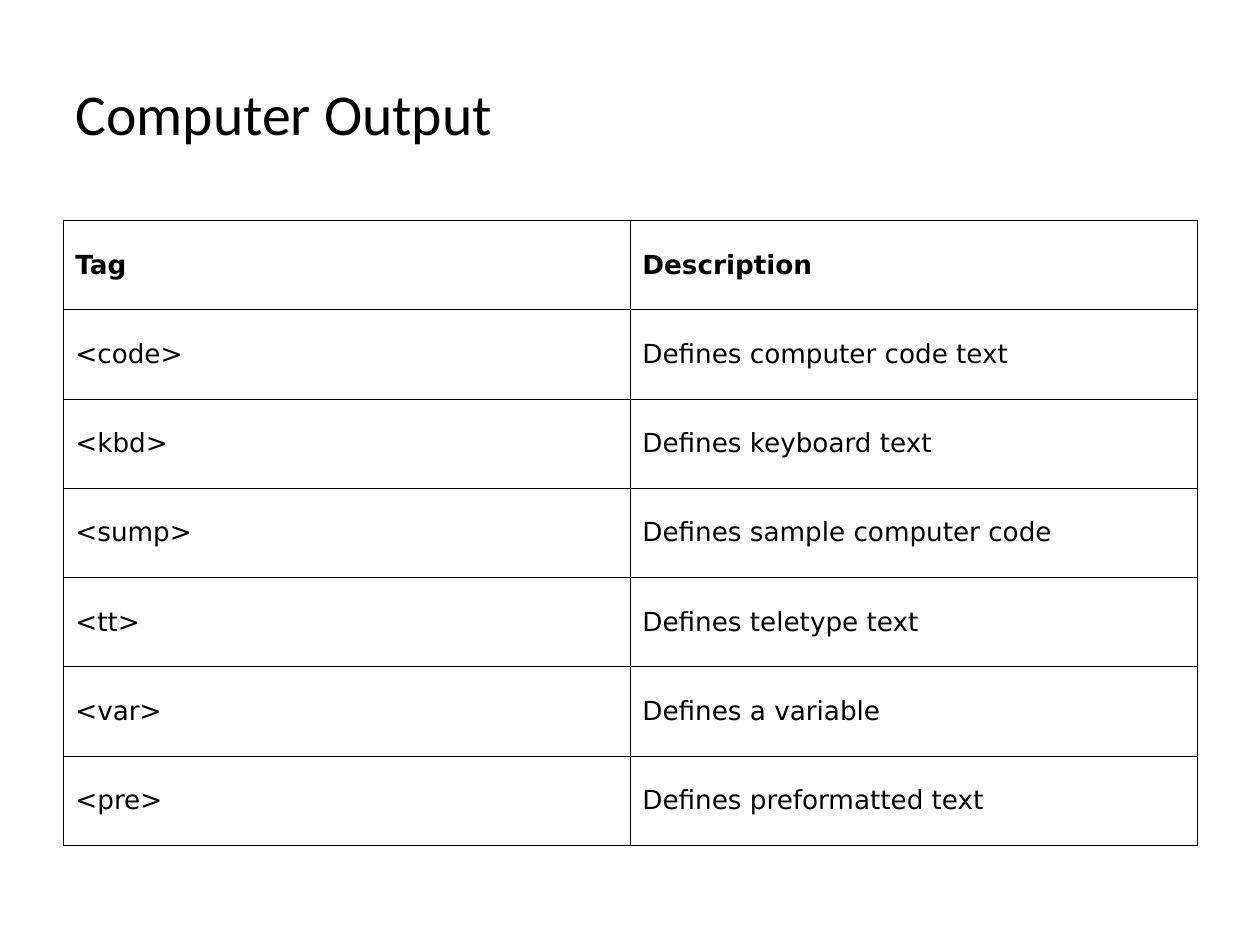
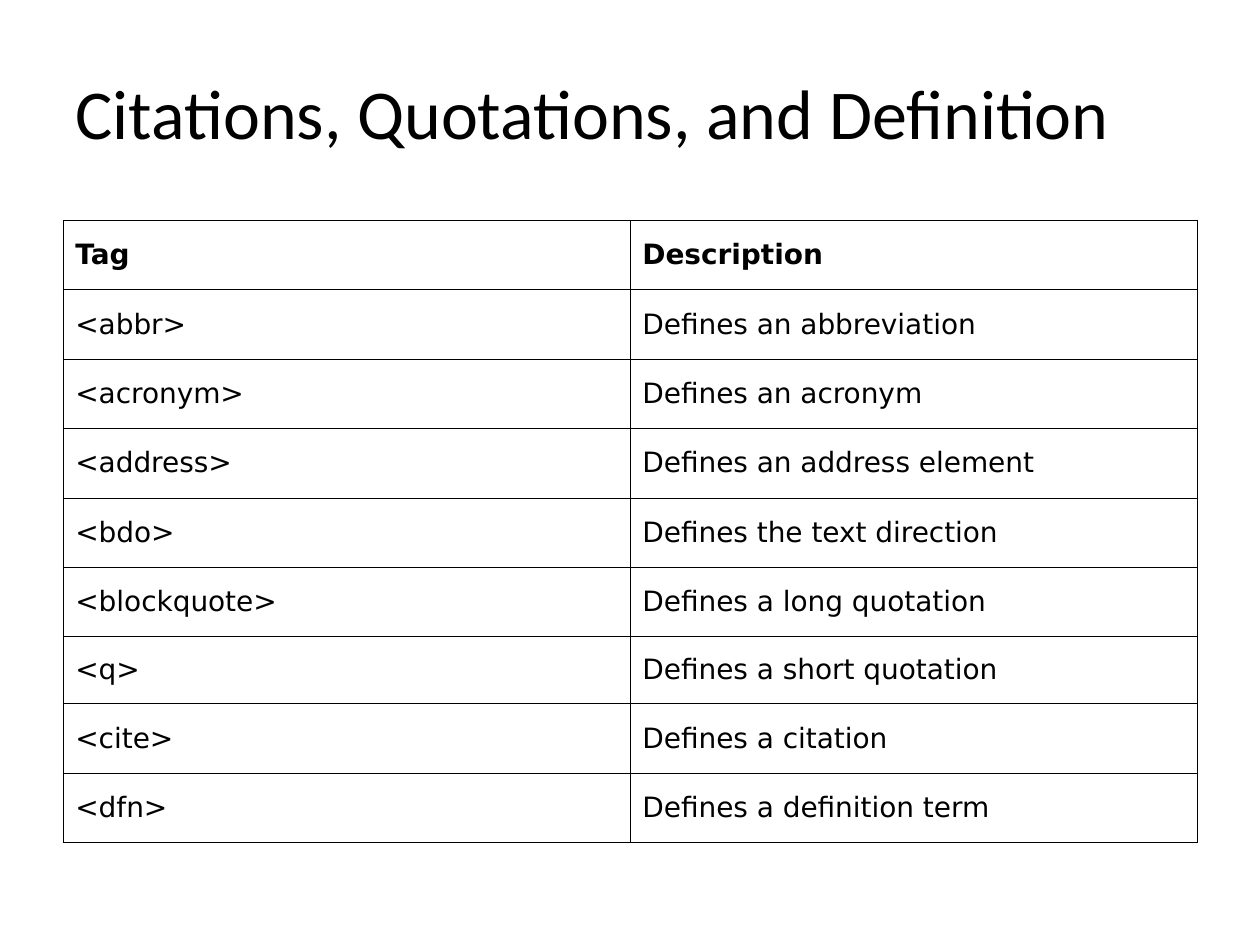
import lxml.etree
import pptx
import pptx.dml.color
import pptx.enum.text
import pptx.oxml.ns
import pptx.util

Cm = pptx.util.Cm
Pt = pptx.util.Pt
COLORS = {"ink": "000000", "page": "FFFFFF"}
INK = pptx.dml.color.RGBColor.from_string(COLORS["ink"])
PAGE = pptx.dml.color.RGBColor.from_string(COLORS["page"])
MIDDLE = pptx.enum.text.MSO_ANCHOR.MIDDLE
LEFT = pptx.enum.text.PP_ALIGN.LEFT

TITLE_BOX = (Cm(1.27), Cm(0.76), Cm(22.86), Cm(3.18))
GRID_BOX = (Cm(1.27), Cm(4.44), Cm(22.86))
HANG = Cm(0.96)
RULE = Pt(0.34)

HEAD = ("Tag", "Description")
OUTPUT = [
    ("<code>", "Defines computer code text"),
    ("<kbd>", "Defines keyboard text"),
    ("<sump>", "Defines sample computer code"),
    ("<tt>", "Defines teletype text"),
    ("<var>", "Defines a variable"),
    ("<pre>", "Defines preformatted text"),
]
QUOTES = [
    ("<abbr>", "Defines an abbreviation"),
    ("<acronym>", "Defines an acronym"),
    ("<address>", "Defines an address element"),
    ("<bdo>", "Defines the text direction"),
    ("<blockquote>", "Defines a long quotation"),
    ("<q>", "Defines a short quotation"),
    ("<cite>", "Defines a citation"),
    ("<dfn>", "Defines a definition term"),
]


def assign(target, values):
    for name, value in values.items():
        setattr(target, name, value)


def style(para, face, size, bold=False):
    para.alignment = LEFT
    assign(para.font, {"name": face, "size": Pt(size), "bold": bold})
    para.font.color.rgb = INK


def add_title(slide, box, text, size):
    title = slide.shapes.title
    assign(title, dict(zip(("left", "top", "width", "height"), box)))
    frame = title.text_frame
    frame.text = text
    assign(frame, {
        "vertical_anchor": MIDDLE,
        "word_wrap": True,
        "auto_size": pptx.enum.text.MSO_AUTO_SIZE.NONE,
    })
    para = frame.paragraphs[0]
    para.line_spacing = 0.9
    style(para, "Calibri", size)


def add_rules(cell):
    qn = pptx.oxml.ns.qn
    props = cell._tc.get_or_add_tcPr()
    for side in ("a:lnL", "a:lnR", "a:lnT", "a:lnB"):
        line = lxml.etree.SubElement(props, qn(side), w=str(int(RULE)))
        fill = lxml.etree.SubElement(line, qn("a:solidFill"))
        lxml.etree.SubElement(fill, qn("a:srgbClr"), val=COLORS["ink"])


def fill_cell(cell, text, size, bold):
    cell.text = text
    assign(cell, {
        "vertical_anchor": MIDDLE,
        "margin_left": Cm(0.25),
        "margin_right": Cm(0.25),
        "margin_top": Cm(0.13),
        "margin_bottom": Cm(0.13),
    })
    add_rules(cell)
    cell.fill.background()
    para = cell.text_frame.paragraphs[0]
    props = para._p.get_or_add_pPr()
    props.set("marL", str(int(HANG)))
    props.set("indent", str(-int(HANG)))
    style(para, "DejaVu Sans", size, bold)


def add_grid(slide, box, rows, heights, size):
    left, top, width = box
    rows = [HEAD, *rows]
    grid = slide.shapes.add_table(
        len(rows), len(HEAD), left, top, width, Cm(sum(heights))).table
    assign(grid, {"first_row": False, "horz_banding": False})
    for column in grid.columns:
        column.width = width // len(HEAD)
    for r, (row, height) in enumerate(zip(rows, heights)):
        grid.rows[r].height = Cm(height)
        for c, text in enumerate(row):
            fill_cell(grid.cell(r, c), text, size, bold=r == 0)


def add_page(deck, title, title_size, rows, heights, size):
    slide = deck.slides.add_slide(deck.slide_layouts.get_by_name("Title Only"))
    slide.background.fill.solid()
    slide.background.fill.fore_color.rgb = PAGE
    add_title(slide, TITLE_BOX, title, title_size)
    add_grid(slide, GRID_BOX, rows, heights, size)


def main():
    deck = pptx.Presentation()
    assign(deck, {"slide_width": Cm(25.4), "slide_height": Cm(19.05)})
    add_page(deck, "Computer Output", 33, OUTPUT, [1.8] * 7, 15)
    add_page(deck, "Citations, Quotations, and Definition", 40, QUOTES,
             [1.4] * 6 + [1.35] + [1.4] * 2, 16)
    deck.save("out.pptx")


if __name__ == "__main__":
    main()
